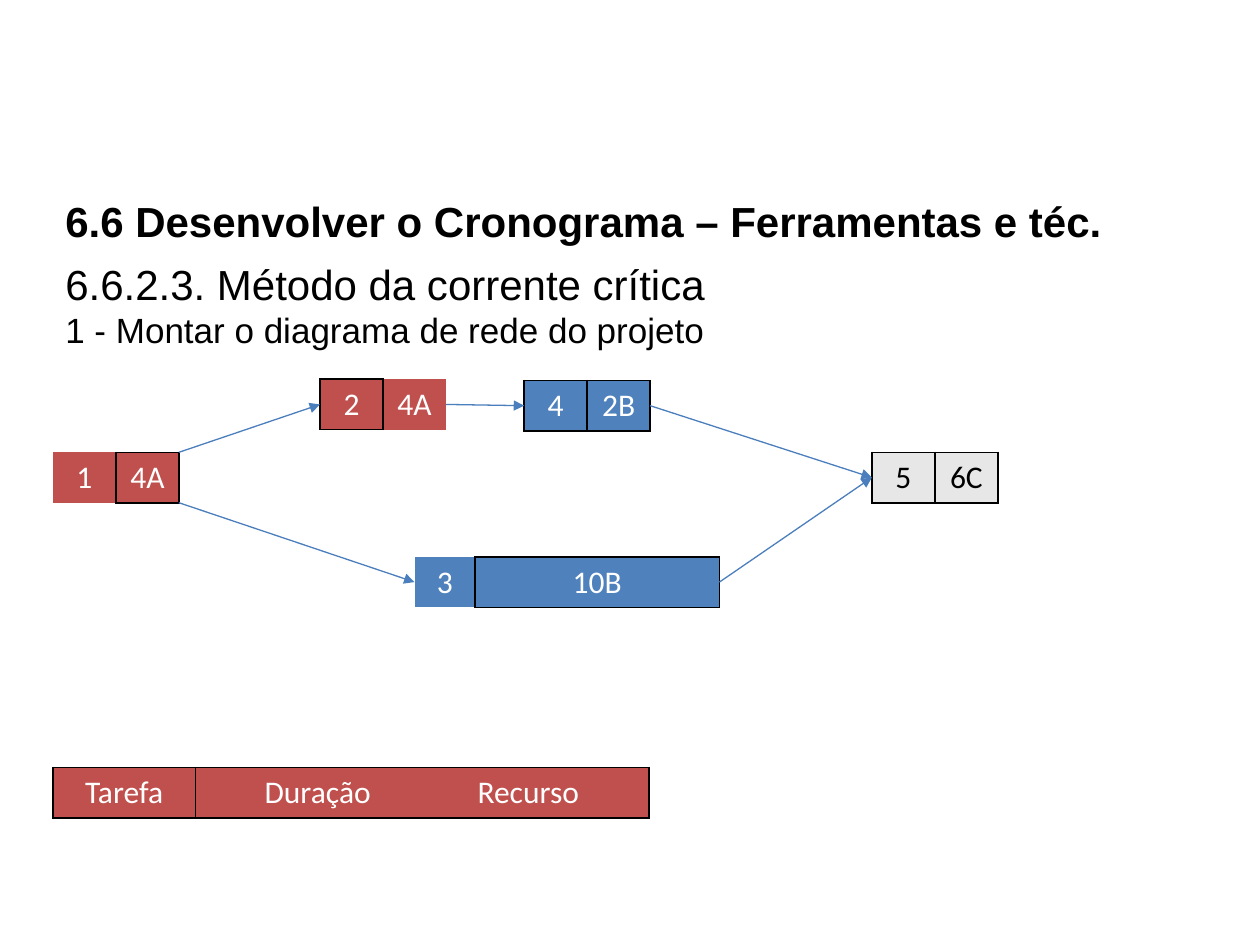
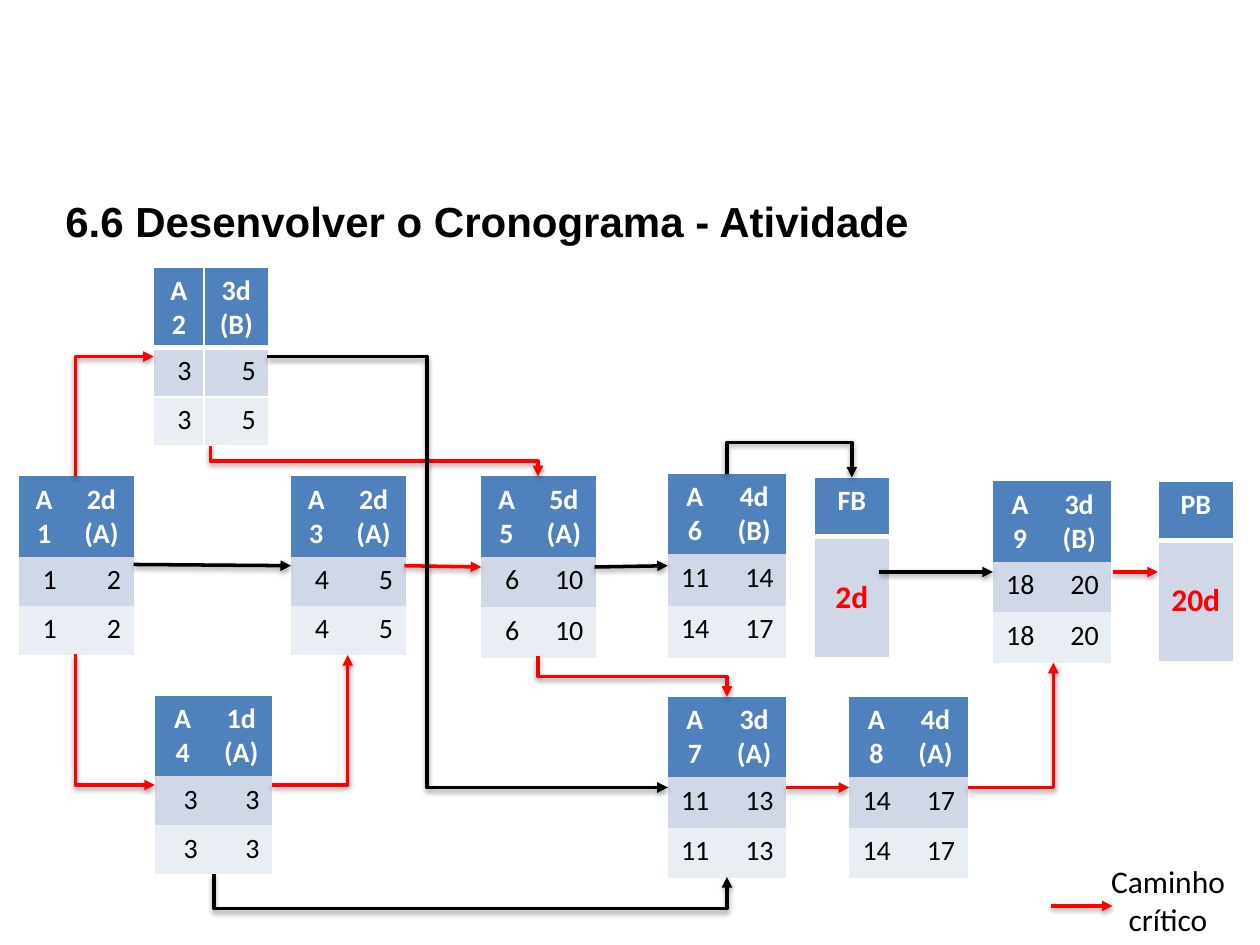
from lxml import etree
from pptx import Presentation
from pptx import util as u
from pptx.dml.color import RGBColor
from pptx.enum import shapes, text
from pptx.oxml import ns

BLACK = RGBColor(0x00, 0x00, 0x00)
WHITE = RGBColor(0xFF, 0xFF, 0xFF)
RED = RGBColor(0xFF, 0x00, 0x00)
BRICK = RGBColor(0xC0, 0x50, 0x4D)
BLUE = RGBColor(0x4F, 0x81, 0xBD)
EDGE = RGBColor(0x4B, 0x7E, 0xBC)
GRAY = RGBColor(0xE7, 0xE7, 0xE7)
BAND = RGBColor(0xD0, 0xD8, 0xE8)
PALE = RGBColor(0xE9, 0xED, 0xF4)

LEFT, CENTER, RIGHT, JUST = (
    text.PP_ALIGN.LEFT, text.PP_ALIGN.CENTER, text.PP_ALIGN.RIGHT, text.PP_ALIGN.JUSTIFY)
PLAIN = "{2D5ABB26-0587-4C30-8999-92F81FD0307C}"

TITLES = ("6.6 Desenvolver o Cronograma – Ferramentas e téc.",
          "6.6 Desenvolver o Cronograma - Atividade")
INTRO = (("6.6.2.3. Método da corrente crítica", 24),
         ("1 - Montar o diagrama de rede do projeto", 20))

TASKS = [
    (0.42, 3.59, (0.5, 0.5), ("1", "4A"), BRICK, WHITE, ("R", "LRTB")),
    (2.54, 3.01, (0.5, 0.5), ("2", "4A"), BRICK, WHITE, ("LRTB", "L")),
    (4.16, 3.02, (0.5, 0.5), ("4", "2B"), BLUE, WHITE, ("LRTB", "LRTB")),
    (6.92, 3.59, (0.5, 0.5), ("5", "6C"), GRAY, BLACK, ("LRTB", "LRTB")),
    (3.29, 4.42, (0.48, 1.94), ("3", "10B"), BLUE, WHITE, ("R", "LRTB")),
    (0.42, 6.09, (1.13, 3.6), ("Tarefa", "Duração\tRecurso"), BRICK, WHITE, ("LRTB", "LRTB")),
]
FLOWS = [
    ((1.42, 3.59), (2.54, 3.21)),
    ((3.54, 3.21), (4.16, 3.22)),
    ((1.42, 3.99), (3.29, 4.62)),
    ((5.16, 3.22), (6.92, 3.79)),
    ((5.71, 4.62), (6.92, 3.79)),
]

NODES = [
    (0.15, 3.78, (0.4, 0.51), (0.64, 0.39), "A1", "2d (A)", (1, 2), (1, 2)),
    (1.22, 2.12, (0.4, 0.51), (0.64, 0.39), "A2", "3d (B)", (3, 5), (3, 5)),
    (2.31, 3.78, (0.4, 0.51), (0.64, 0.39), "A3", "2d (A)", (4, 5), (4, 5)),
    (1.23, 5.52, (0.44, 0.49), (0.64, 0.39), "A4", "1d (A)", (3, 3), (3, 3)),
    (3.82, 3.78, (0.4, 0.51), (0.64, 0.4), "A\n5", "5d (A)", (6, 10), (6, 10)),
    (5.3, 3.76, (0.43, 0.51), (0.64, 0.41), "A\n6", "4d (B)", (11, 14), (14, 17)),
    (5.3, 5.53, (0.43, 0.51), (0.64, 0.4), "A7", "3d (A)", (11, 13), (11, 13)),
    (6.74, 5.53, (0.43, 0.51), (0.64, 0.4), "A\n8", "4d (A)", (14, 17), (14, 17)),
    (7.88, 3.82, (0.43, 0.51), (0.64, 0.4), "A\n9", "3d (B)", (18, 20), (18, 20)),
]
BUFFERS = [(9.19, 3.82, "PB", "20d"), (6.46, 3.79, "FB", "2d")]

LINKS = [
    ((1.06, 4.48), (2.31, 4.49), BLACK, "", 0),
    ((6.24, 6.25), (6.74, 6.25), RED, "", 0),
    ((4.72, 4.5), (5.3, 4.49), BLACK, "", 0),
    ((3.21, 4.49), (3.82, 4.5), RED, "", 0),
    ((1.7, 6.94), (5.77, 6.96), BLACK, "VHV", 7.21),
    ((1.67, 3.54), (4.27, 3.78), RED, "VHV", 3.66),
    ((5.77, 3.76), (6.76, 3.79), BLACK, "VHV", 3.51),
    ((7.68, 6.25), (8.36, 5.26), RED, "HV", 0),
    ((4.27, 5.21), (5.77, 5.53), RED, "VHV", 5.37),
    ((2.12, 2.83), (5.3, 6.25), BLACK, "HVH", 3.39),
    ((2.16, 6.23), (2.76, 5.2), RED, "HV", 0),
    ((0.6, 3.78), (1.22, 2.83), RED, "VH", 0),
    ((0.6, 5.19), (1.23, 6.23), RED, "VH", 0),
    ((8.83, 4.54), (9.19, 4.54), RED, "", 0),
    ((6.98, 4.54), (7.88, 4.54), BLACK, "", 0),
    ((8.34, 7.19), (8.83, 7.19), RED, "", 0),
]


def sub(up, tag, **attrs):
    kid = etree.SubElement(up, ns.qn(tag))
    for key, val in attrs.items():
        kid.set(key, str(val))
    return kid


def put(frame, words, size=18, color=BLACK, bold=False, font="Calibri", align=CENTER):
    for i, line in enumerate(words.split("\n")):
        para = frame.paragraphs[0] if i == 0 else frame.add_paragraph()
        para.alignment = align
        run = para.add_run()
        run.text = line
        run.font.size = u.Pt(size)
        run.font.bold = bold
        run.font.name = font
        run.font.color.rgb = color


def box(slide, left, top, width, height):
    frame = slide.shapes.add_textbox(*map(u.Inches, (left, top, width, height))).text_frame
    frame.word_wrap = True
    return frame


def grid(slide, left, top, cols, rows):
    dims = map(u.Inches, (left, top, sum(cols), sum(rows)))
    shape = slide.shapes.add_table(len(rows), len(cols), *dims)
    for tag in shape.element.iter(ns.qn("a:tableStyleId")):
        tag.text = PLAIN
    table = shape.table
    table.first_row = table.horz_banding = False
    for col, width in zip(table.columns, cols):
        col.width = u.Inches(width)
    for row, height in zip(table.rows, rows):
        row.height = u.Inches(height)
    return table


def paint(cell, words, fill, sides="", edge=BLACK, thick=(), **style):
    props = cell._tc.get_or_add_tcPr()
    for side in "LRTB":
        if side in sides:
            line = sub(props, "a:ln" + side, w=u.Pt(3 if side in thick else 1))
            sub(sub(line, "a:solidFill"), "a:srgbClr", val=edge)
    cell.fill.solid()
    cell.fill.fore_color.rgb = fill
    put(cell.text_frame, words, **style)


def bend(line, start, end, route, mid):
    (x0, y0), (x1, y1) = start, end
    wide, tall = abs(x1 - x0), abs(y1 - y0)
    down = y1 > y0
    props = line.element.spPr
    geom = props.find(ns.qn("a:prstGeom"))
    form = props.find(ns.qn("a:xfrm"))
    for key in ("flipH", "flipV"):
        form.attrib.pop(key, None)
    geom.set("prst", f"bentConnector{len(route)}")
    if route[0] == "V":
        line.left = u.Inches((x0 + x1 - tall) / 2)
        line.top = u.Inches((y0 + y1 - wide) / 2)
        line.width, line.height = u.Inches(tall), u.Inches(wide)
        form.set("rot", str((270 if down else 90) * 60000))
        form.set("flipH", "1")
    if not down:
        form.set("flipV", "1")
    if mid:
        part = (mid - y0) / (y1 - y0) if route[0] == "V" else (mid - x0) / (x1 - x0)
        sub(geom.find(ns.qn("a:avLst")), "a:gd", name="adj1", fmla=f"val {round(part * 100000)}")


def arrow(slide, start, end, color, width, route="", mid=0, shade=False):
    kind = shapes.MSO_CONNECTOR.ELBOW if route else shapes.MSO_CONNECTOR.STRAIGHT
    line = slide.shapes.add_connector(kind, *map(u.Inches, start + end))
    if route:
        bend(line, start, end, route, mid)
    line.line.color.rgb = color
    line.line.width = u.Pt(width)
    props = line.element.spPr
    sub(props.find(ns.qn("a:ln")), "a:tailEnd", type="triangle")
    glow = sub(props, "a:effectLst")
    if shade:
        cast = sub(glow, "a:outerShdw", blurRad=40000, dist=20000, dir=5400000, rotWithShape=0)
        sub(sub(cast, "a:srgbClr", val=BLACK), "a:alpha", val=38000)


def start(deck, title):
    slide = deck.slides.add_slide(deck.slide_layouts[6])
    put(box(slide, 0.42, 1.5, 9.23, 0.5), title, size=24, bold=True, font="Arial", align=LEFT)
    return slide


def chain(deck):
    slide = start(deck, TITLES[0])
    frame = box(slide, 0.42, 2, 9.23, 1.25)
    frame.add_paragraph()
    for para, (words, size) in zip(frame.paragraphs, INTRO):
        para.alignment = JUST
        run = para.add_run()
        run.text = words
        run.font.size = u.Pt(size)
        run.font.name = "Arial"
        run.font.color.rgb = BLACK
    for left, top, cols, words, fill, ink, sides in TASKS:
        table = grid(slide, left, top, cols, (0.4,))
        for i, word in enumerate(words):
            cell = table.cell(0, i)
            tabbed = "\t" in word
            paint(cell, word, fill, sides[i], color=ink, align=LEFT if tabbed else CENTER)
            if tabbed:
                cell.margin_left = u.Inches(0.55)
                props = cell.text_frame.paragraphs[0]._p.get_or_add_pPr()
                sub(sub(props, "a:tabLst"), "a:tab", pos=u.Inches(1.69), algn="l")
    for tail, head in FLOWS:
        arrow(slide, tail, head, EDGE, 0.75)


def plan(deck):
    slide = start(deck, TITLES[1])
    for left, top, cols, (head, row), name, span, early, late in NODES:
        table = grid(slide, left, top, cols, (head, row, row))
        lined = name == "A2"
        rows = ((name, span), early, late)
        for r, (pair, fill) in enumerate(zip(rows, (BLUE, BAND, PALE))):
            sides = ("LRTB", "LRB", "LRTB")[r] if lined else ""
            for c, word in enumerate(pair):
                paint(table.cell(r, c), str(word), fill, sides, WHITE, "B" if r == 0 else "",
                      size=16, bold=r == 0, color=BLACK if r else WHITE,
                      align=RIGHT if r else CENTER)
    for left, top, name, days in BUFFERS:
        table = grid(slide, left, top, (0.6,), (0.47, 0.96))
        paint(table.cell(0, 0), name, BLUE, "LRTB", WHITE, "B", size=16, bold=True, color=WHITE)
        paint(table.cell(1, 0), days, BAND, "LRB", WHITE, bold=True, color=RED)
        table.cell(1, 0).vertical_anchor = text.MSO_ANCHOR.MIDDLE
    for tail, head, color, route, mid in LINKS:
        arrow(slide, tail, head, color, 2, route, mid, shade=True)
    put(box(slide, 8.69, 6.79, 1.16, 0.71), "Caminho crítico")


def main():
    deck = Presentation()
    deck.slide_width, deck.slide_height = u.Inches(10), u.Inches(7.5)
    chain(deck)
    plan(deck)
    deck.save("out.pptx")


if __name__ == "__main__":
    main()
